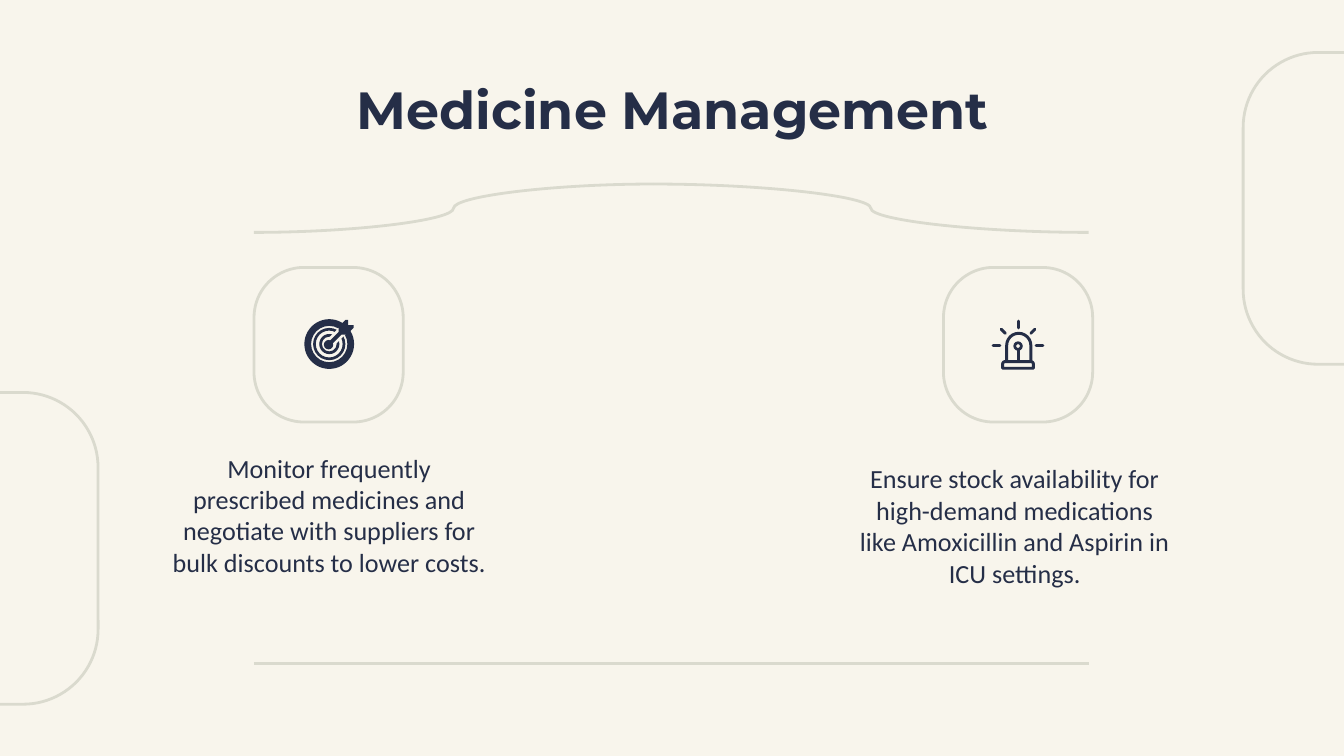
from lxml.etree import SubElement
from pptx import Presentation
from pptx.dml.color import RGBColor
from pptx.enum.shapes import MSO_CONNECTOR as CONNECTOR, MSO_SHAPE as SHAPE
from pptx.enum.text import MSO_ANCHOR as ANCHOR, MSO_AUTO_SIZE as AUTO_SIZE, PP_ALIGN as ALIGN
from pptx.oxml.ns import qn
from pptx.util import Inches, Pt

NAVY, SAND, CREAM = "252E47", "DADACE", "F8F5EC"


def paint(shape, fill=None, line=None, width=1.5):
    shape.shadow.inherit = False
    if fill:
        shape.fill.solid()
        shape.fill.fore_color.rgb = RGBColor.from_string(fill)
    else:
        shape.fill.background()
    if line:
        shape.line.color.rgb = RGBColor.from_string(line)
        shape.line.width = Pt(width)
    else:
        shape.line.fill.background()


def connect(shapes, kind, points, color, width=1.5, cap="flat"):
    connector = shapes.add_connector(kind, *[Inches(value) for value in points])
    connector.line.color.rgb = RGBColor.from_string(color)
    connector.line.width = Pt(width)
    connector.line._get_or_add_ln().set("cap", cap)
    SubElement(connector._element.spPr, qn("a:effectLst"))


presentation = Presentation()
presentation.slide_width = Inches(10)
presentation.slide_height = Inches(10 * 9 / 16)
slide = presentation.slides.add_slide(presentation.slide_layouts[3])
slide.background.fill.solid()
slide.background.fill.fore_color.rgb = RGBColor.from_string(CREAM)

frames = [
    (-1.13, 2.92, 1.86, 2.32, 0.3),
    (9.25, 0.39, 1.86, 2.32, 0.3),
    (7.02, 1.99, 1.11, 1.15, 0.334),
    (1.89, 1.99, 1.11, 1.15, 0.334),
]
for *box, rounding in frames:
    frame = slide.shapes.add_shape(SHAPE.ROUNDED_RECTANGLE, *[Inches(value) for value in box])
    frame.adjustments[0] = rounding
    paint(frame, line=SAND)

texts = [
    ("Medicine Management", (0.79, 0.49, 8.43, 0.63), "Montserrat", 28, True),
    ("Monitor frequently prescribed medicines and negotiate with suppliers for bulk discounts to lower costs.",
     (1.18, 3.34, 2.54, 0.98), "Calibri", 14, False),
    ("Ensure stock availability for high-demand medications like Amoxicillin and Aspirin in ICU settings.",
     (6.28, 3.34, 2.54, 1.14), "Calibri", 14, False),
]
for placeholder, (text, box, font_name, size, bold) in zip(slide.placeholders, texts):
    placeholder.left, placeholder.top, placeholder.width, placeholder.height = [Inches(value) for value in box]
    text_frame = placeholder.text_frame
    text_frame.text = text
    text_frame.word_wrap = True
    text_frame.auto_size = AUTO_SIZE.NONE
    text_frame.vertical_anchor = ANCHOR.MIDDLE
    text_frame.margin_left = text_frame.margin_right = Inches(0.1)
    text_frame.margin_top = text_frame.margin_bottom = Inches(0.1)
    paragraph = text_frame.paragraphs[0]
    paragraph.alignment = ALIGN.CENTER
    paragraph.space_before = Pt(0)
    properties = paragraph._p.get_or_add_pPr()
    properties.set("marL", "0")
    properties.set("indent", "0")
    SubElement(properties, qn("a:buNone"))
    font = paragraph.runs[0].font
    font.name, font.size, font.bold = font_name, Pt(size), bold
    font.color.rgb = RGBColor.from_string(NAVY)

siren = slide.shapes.add_group_shape().shapes
for left, top, width, height, rounding in [(7.49, 2.48, 0.18, 0.21, 0.5), (7.46, 2.69, 0.23, 0.05, 0.4)]:
    part = siren.add_shape(SHAPE.ROUND_2_SAME_RECTANGLE, Inches(left), Inches(top), Inches(width), Inches(height))
    part.adjustments[0] = rounding
    paint(part, line=NAVY, width=1.6)
lamp = siren.add_shape(SHAPE.DONUT, Inches(7.54), Inches(2.54), Inches(0.07), Inches(0.07))
lamp.adjustments[0] = 0.3
paint(lamp, fill=NAVY)
connect(siren, CONNECTOR.STRAIGHT, (7.58, 2.6, 7.58, 2.68), NAVY, 1.6)
rays = [
    (7.39, 2.57, 7.44, 2.57),
    (7.45, 2.45, 7.48, 2.48),
    (7.58, 2.39, 7.58, 2.44),
    (7.7, 2.45, 7.67, 2.48),
    (7.71, 2.57, 7.76, 2.57),
]
for ray in rays:
    connect(siren, CONNECTOR.STRAIGHT, ray, NAVY, 1.6, "rnd")

target = slide.shapes.add_group_shape().shapes
center_x, center_y = 2.45, 2.56
for diameter, thickness in [(0.37, 0.05), (0.24, 0.02), (0.15, 0.02)]:
    ring = target.add_shape(SHAPE.DONUT, Inches(center_x - diameter / 2), Inches(center_y - diameter / 2),
                            Inches(diameter), Inches(diameter))
    ring.adjustments[0] = thickness / diameter
    paint(ring, fill=NAVY)
connect(target, CONNECTOR.STRAIGHT, (2.47, 2.54, 2.6, 2.41), CREAM, 5)
hub = target.add_shape(SHAPE.OVAL, Inches(2.41), Inches(2.53), Inches(0.07), Inches(0.07))
paint(hub, fill=NAVY)
dart_points = [(2.44, 2.55), (2.52, 2.47), (2.52, 2.43), (2.57, 2.38), (2.59, 2.38), (2.59, 2.42),
               (2.63, 2.42), (2.63, 2.44), (2.58, 2.49), (2.54, 2.49), (2.46, 2.57)]
dart_corners = [(Inches(x), Inches(y)) for x, y in dart_points]
builder = target.build_freeform(*dart_corners[0])
builder.add_line_segments(dart_corners[1:])
paint(builder.convert_to_shape(), fill=NAVY)

connect(slide.shapes, CONNECTOR.STRAIGHT, (1.89, 4.94, 8.1, 4.94), SAND)
for outer_x in (1.89, 8.1):
    connect(slide.shapes, CONNECTOR.CURVE, (outer_x, 1.73, 4.86, 1.37), SAND)

presentation.save("out.pptx")
